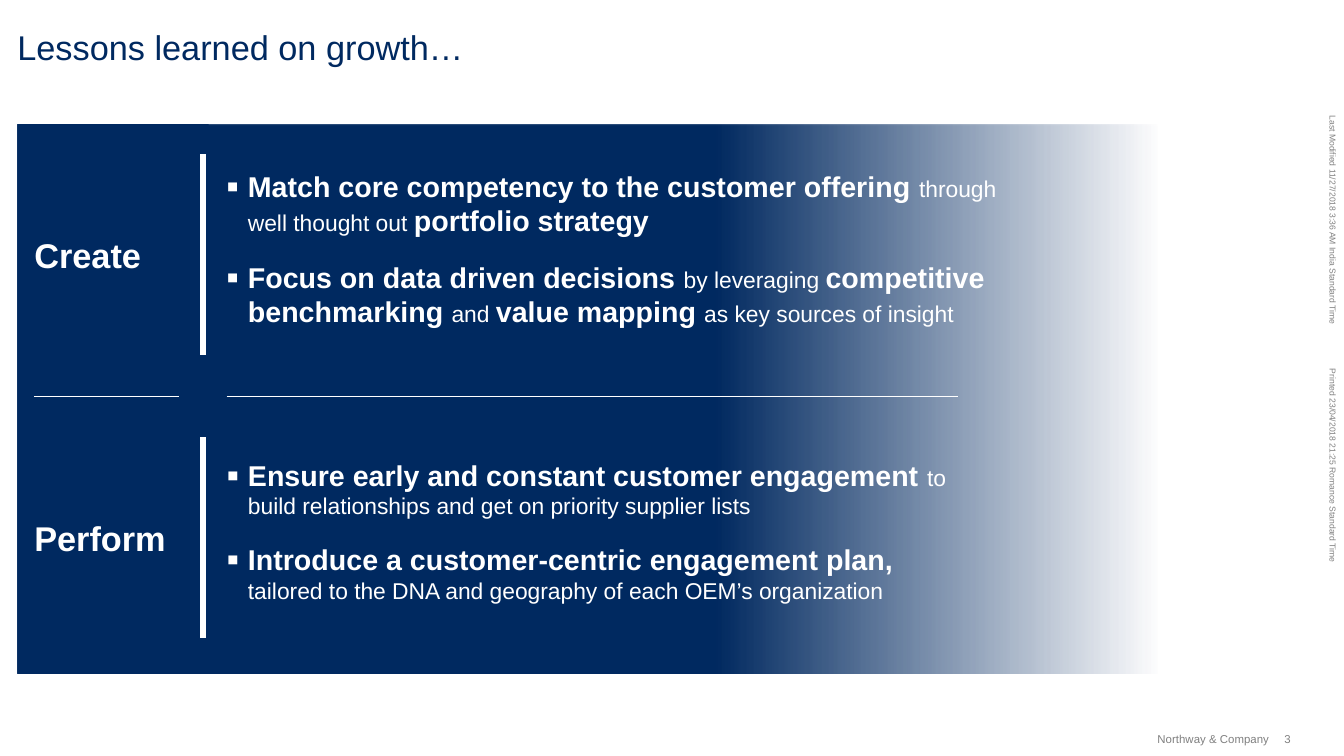
from lxml.etree import SubElement
from pptx import Presentation
from pptx.dml.color import RGBColor
from pptx.enum.shapes import MSO_CONNECTOR as Connector, MSO_SHAPE as Shape
from pptx.enum.text import MSO_ANCHOR as Anchor, PP_ALIGN as Align
from pptx.oxml.ns import qn
from pptx.util import Pt

COLORS = {"navy": "002960", "white": "FFFFFF", "gray": "808080"}
FONT = "Arial"
STRONG, PLAIN = (20, True), (16, False)

LESSONS = [
    ("Create", 562, [
        [("Match core competency to the customer offering ", STRONG),
         ("through well thought out ", PLAIN),
         ("portfolio strategy", STRONG)],
        [("Focus on data driven decisions ", STRONG),
         ("by leveraging ", PLAIN),
         ("competitive benchmarking ", STRONG),
         ("and ", PLAIN),
         ("value mapping ", STRONG),
         ("as key sources of insight", PLAIN)],
    ]),
    ("Perform", 510.5, [
        [("Ensure early and constant customer engagement ", STRONG),
         ("to build relationships and get on priority supplier lists", PLAIN)],
        [("Introduce a customer-centric engagement plan, ", STRONG),
         ("tailored to the DNA and geography of each OEM’s organization", PLAIN)],
    ]),
]


def color(name):
    """Return the named colour."""
    return RGBColor.from_string(COLORS[name])


def add_run(paragraph, text, size, name, bold=False):
    """Append one formatted run."""
    run = paragraph.add_run()
    run.text = text
    run.font.name = FONT
    run.font.size = Pt(size)
    run.font.bold = bold
    run.font.color.rgb = color(name)


def add_box(slide, box, anchor=Anchor.TOP, wrap=True):
    """Add a text box without margins."""
    shape = slide.shapes.add_textbox(*map(Pt, box))
    frame = shape.text_frame
    frame.margin_left = frame.margin_top = frame.margin_right = frame.margin_bottom = 0
    frame.word_wrap = wrap
    frame.vertical_anchor = anchor
    return shape


def add_label(slide, box, text, size, name, bold=False, align=Align.LEFT,
              anchor=Anchor.MIDDLE, wrap=True, rotation=0):
    """Add a text box holding a single run."""
    shape = add_box(slide, box, anchor, wrap)
    shape.rotation = rotation
    paragraph = shape.text_frame.paragraphs[0]
    paragraph.alignment = align
    add_run(paragraph, text, size, name, bold)


def add_rule(slide, start, end, width):
    """Draw a white straight line without shadow."""
    line = slide.shapes.add_connector(Connector.STRAIGHT, *map(Pt, start + end))
    line.line.color.rgb = color("white")
    line.line.width = Pt(width)
    SubElement(line._element.spPr, qn("a:effectLst"))


def add_rectangle(slide, box):
    """Add a navy rectangle without outline or shadow."""
    shape = slide.shapes.add_shape(Shape.RECTANGLE, *map(Pt, box))
    shape.shadow.inherit = False
    shape.line.fill.background()
    shape.fill.solid()
    shape.fill.fore_color.rgb = color("navy")
    return shape


def add_bullet(paragraph):
    """Give the paragraph a white square bullet with a hanging indent."""
    properties = paragraph._p.get_or_add_pPr()
    properties.set("marL", str(Pt(15)))
    properties.set("indent", str(-Pt(15)))
    bullet_color = SubElement(properties, qn("a:buClr"))
    SubElement(bullet_color, qn("a:srgbClr"), val=COLORS["white"])
    SubElement(properties, qn("a:buSzPct"), val="125000")
    SubElement(properties, qn("a:buFont"), typeface=FONT)
    SubElement(properties, qn("a:buChar"), char="▪")


def add_backdrop(slide, box):
    """Draw the panel that fades out to the right, and its solid left column."""
    left, top, width, height = box
    fill = add_rectangle(slide, box).fill
    fill.gradient()
    fill.gradient_angle = 0
    for stop, position in zip(fill.gradient_stops, (0.61, 1)):
        stop.position = position
        stop.color.rgb = color("navy")
    last_color = fill.gradient_stops[1]._gs.find(qn("a:srgbClr"))
    SubElement(last_color, qn("a:alpha"), val="0")
    add_rectangle(slide, (left, top, 134, height))


def add_lesson(slide, box, heading, text_width, bullets):
    """Place a heading, the upright bar and the bullets in one row."""
    left, top, _, height = box
    add_label(slide, (left, top + height / 2 - 14.5, 101.5, 29), heading, 24, "white", True)
    add_rule(slide, (left + 118, top), (left + 118, top + height), 4.5)
    inset = 10 if heading == "Create" else 14.4
    frame = add_box(slide, (left + 134.6, top + inset, text_width, height - 2 * inset)).text_frame
    for index, pieces in enumerate(bullets):
        paragraph = frame.paragraphs[0] if index == 0 else frame.add_paragraph()
        paragraph.space_before = Pt(16 if index else 0)
        add_bullet(paragraph)
        for text, (size, bold) in pieces:
            add_run(paragraph, text, size, "white", bold)


def add_panel(slide, box):
    """Fill the panel with both lessons and the divider between them."""
    left, top, width, _ = box
    add_backdrop(slide, box)
    for index, lesson in enumerate(LESSONS):
        add_lesson(slide, (left + 11.8, top + 21 + 198 * index, width, 140.4), *lesson)
    for start, end in ((11.8, 113.3), (146.4, 658.2)):
        add_rule(slide, (left + start, top + 190.3), (left + end, top + 190.3), 0.75)


def add_margin_notes(slide, box):
    """Place the two sideways time stamps along the right edge."""
    left, top, width, _ = box
    stamps = (("Last Modified 11/27/2018 3:36 AM India Standard Time", 0, 149),
              ("Printed 23/04/2018 21:25 Romance Standard Time", 177.3, 137.5))
    for text, offset, length in stamps:
        add_label(slide, (left + width / 2 - length / 2, top + offset + length / 2 - width / 2,
                          length, width), text, 6, "gray", wrap=False, rotation=90)


def add_footer(slide, box):
    """Place the company name and the page number."""
    left, top, _, height = box
    add_label(slide, (left, top, 80, height), "Northway & Company", 8, "gray",
              align=Align.RIGHT)
    add_label(slide, (left + 90.7, top, 10, height), "3", 8, "gray", wrap=False)


def build():
    """Build the slide and save it."""
    presentation = Presentation()
    presentation.slide_width, presentation.slide_height = Pt(941), Pt(529.2)
    slide = presentation.slides.add_slide(presentation.slide_layouts[6])
    add_margin_notes(slide, (929.8, 81, 7.2, 315))
    add_footer(slide, (808.6, 512.6, 101, 9.4))
    add_label(slide, (12.2, 18, 905, 29), "Lessons learned on growth…", 24, "navy",
              anchor=Anchor.TOP)
    add_panel(slide, (12.2, 87, 799.2, 384.5))
    presentation.save("out.pptx")


build()
